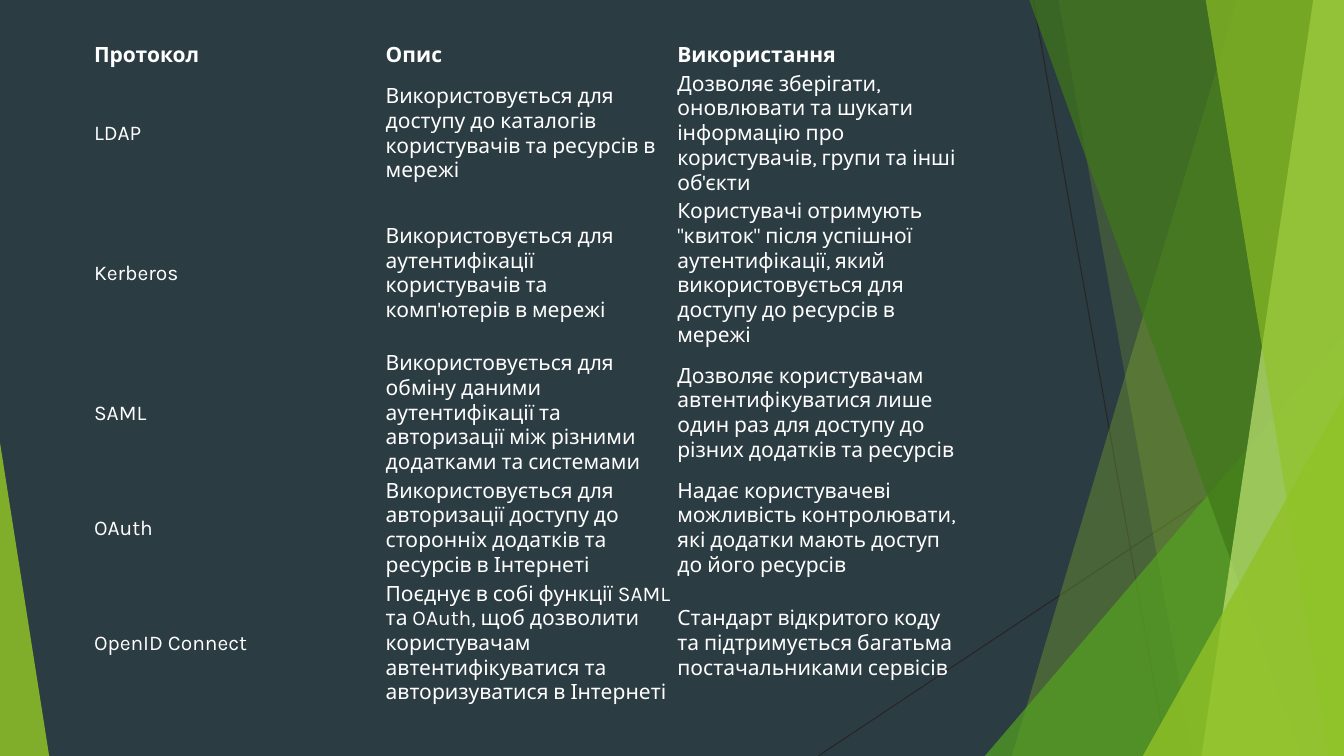
from typing import NamedTuple

from lxml import etree
from pptx import Presentation
from pptx import util as u
from pptx.dml.color import RGBColor
from pptx.enum import shapes, text
from pptx.oxml import ns

LIME = RGBColor(0x90, 0xC2, 0x26)
PALE_LIME = RGBColor(0xC0, 0xE4, 0x74)
GREEN = RGBColor(0x54, 0xA0, 0x21)
DARK_GREEN = RGBColor(0x3F, 0x78, 0x19)
SLATE = RGBColor(0x2C, 0x3C, 0x43)
CHARCOAL = RGBColor(0x26, 0x26, 0x26)
WHITE = RGBColor(0xFF, 0xFF, 0xFF)

FONT = "Karla"
PAGE_WIDTH, PAGE_HEIGHT = 33.87, 19.05
BAND_TOP = -0.03
COLUMN_WIDTH = 7.35


class Ray(NamedTuple):
    """A thin line between two points, in centimetres."""
    x1: float
    y1: float
    x2: float
    y2: float


class Band(NamedTuple):
    """A full-height band from a slanted left edge to the right page edge."""
    top_x: float
    bottom_x: float
    color: RGBColor
    opacity: int


class Wedge(NamedTuple):
    """A right-angled triangle standing on the bottom page edge."""
    left: float
    top: float
    width: float
    apex: float
    color: RGBColor
    opacity: int


class ProtocolRow(NamedTuple):
    """A table row: its least height and the three texts."""
    height: float
    protocol: str
    summary: str
    usage: str


RAYS = [
    Ray(26.04, 0, 29.41, PAGE_HEIGHT),
    Ray(PAGE_WIDTH, 10.24, 20.62, PAGE_HEIGHT),
]

FACETS = [
    Band(31.19, 25.5, LIME, 30),
    Band(26.67, 30.05, LIME, 20),
    Wedge(24.82, 8.46, 9.05, 1, GREEN, 72),
    Band(25.93, 32.79, DARK_GREEN, 70),
    Band(33.1, 30.28, PALE_LIME, 70),
    Band(30.38, 33.48, LIME, 65),
    Wedge(28.8, 9.98, 5.07, 1, LIME, 80),
    Wedge(0, 11.15, 1.24, 0, LIME, 85),
]

ROWS = [
    ProtocolRow(0.33, "Протокол", "Опис", "Використання"),
    ProtocolRow(
        2.08, "LDAP",
        "Використовується для доступу до каталогів користувачів та ресурсів в мережі",
        "Дозволяє зберігати, оновлювати та шукати інформацію про користувачів, "
        "групи та інші об'єкти"),
    ProtocolRow(
        2.59, "Kerberos",
        "Використовується для аутентифікації користувачів та комп'ютерів в мережі",
        "Користувачі отримують \"квиток\" після успішної аутентифікації, який "
        "використовується для доступу до ресурсів в мережі"),
    ProtocolRow(
        2.08, "SAML",
        "Використовується для обміну даними аутентифікації та авторизації між "
        "різними додатками та системами",
        "Дозволяє користувачам автентифікуватися лише один раз для доступу до "
        "різних додатків та ресурсів"),
    ProtocolRow(
        2.08, "OAuth",
        "Використовується для авторизації доступу до сторонніх додатків та "
        "ресурсів в Інтернеті",
        "Надає користувачеві можливість контролювати, які додатки мають доступ "
        "до його ресурсів"),
    ProtocolRow(
        2.34, "OpenID Connect",
        "Поєднує в собі функції SAML та OAuth, щоб дозволити користувачам "
        "автентифікуватися та авторизуватися в Інтернеті",
        "Стандарт відкритого коду та підтримується багатьма постачальниками сервісів"),
]


def draw_ray(page, ray: Ray) -> None:
    """Draw one thin line without a shadow."""
    line = page.shapes.add_connector(
        shapes.MSO_CONNECTOR.STRAIGHT, *(u.Cm(value) for value in ray))
    line.line.color.rgb = CHARCOAL
    line.line.width = u.Pt(0.75)
    etree.SubElement(line._element.spPr, ns.qn("a:effectLst"))


def paint(shape, color: RGBColor, opacity: int) -> None:
    """Give a shape a see-through fill, no line and no shadow."""
    shape.shadow.inherit = False
    shape.line.fill.background()
    shape.fill.solid()
    shape.fill.fore_color.rgb = color
    tint = shape._element.spPr.find(".//" + ns.qn("a:srgbClr"))
    etree.SubElement(tint, ns.qn("a:alpha"), val=str(opacity * 1000))


def draw_band(page, band: Band) -> None:
    """Draw a slanted band."""
    builder = page.shapes.build_freeform(
        u.Cm(band.top_x), u.Cm(BAND_TOP), scale=1.0)
    corners = [(PAGE_WIDTH, BAND_TOP), (PAGE_WIDTH, PAGE_HEIGHT),
               (band.bottom_x, PAGE_HEIGHT)]
    builder.add_line_segments([(u.Cm(x), u.Cm(y)) for x, y in corners], close=True)
    paint(builder.convert_to_shape(), band.color, band.opacity)


def draw_wedge(page, wedge: Wedge) -> None:
    """Draw a triangle with its apex at the left (0) or right (1)."""
    triangle = page.shapes.add_shape(
        shapes.MSO_SHAPE.ISOSCELES_TRIANGLE, u.Cm(wedge.left), u.Cm(wedge.top),
        u.Cm(wedge.width), u.Cm(PAGE_HEIGHT - wedge.top))
    triangle.adjustments[0] = wedge.apex
    paint(triangle, wedge.color, wedge.opacity)


def fill_cell(cell, wording: str, heading: bool) -> None:
    """Write one borderless, transparent table cell."""
    cell.text = wording
    cell.margin_left = cell.margin_right = u.Cm(0.08)
    cell.margin_top = cell.margin_bottom = u.Cm(0.05)
    anchors = text.MSO_ANCHOR
    cell.vertical_anchor = anchors.BOTTOM if heading else anchors.MIDDLE
    properties = cell._tc.get_or_add_tcPr()
    for side in ("a:lnL", "a:lnR", "a:lnT", "a:lnB"):
        border = etree.SubElement(properties, ns.qn(side))
        etree.SubElement(border, ns.qn("a:noFill"))
    cell.fill.background()
    font = cell.text_frame.paragraphs[0].font
    font.name, font.size, font.bold = FONT, u.Pt(15), heading
    font.color.rgb = WHITE


def draw_protocols(page, rows: list[ProtocolRow]) -> None:
    """Draw the table of protocols, headings first."""
    frame = page.shapes.add_table(
        len(rows), 3, u.Cm(2.29), u.Cm(1.04), u.Cm(3 * COLUMN_WIDTH), u.Cm(16.99))
    table = frame.table
    table.first_row = True
    table.horz_banding = False
    for column in table.columns:
        column.width = u.Cm(COLUMN_WIDTH)
    for index, row in enumerate(rows):
        table.rows[index].height = u.Cm(row.height)
        for cell, wording in zip(table.rows[index].cells, row[1:]):
            fill_cell(cell, wording, heading=index == 0)
    frame.height = u.Cm(16.99)


deck = Presentation()
deck.slide_width, deck.slide_height = u.Cm(PAGE_WIDTH), u.Cm(PAGE_HEIGHT)
page = deck.slides.add_slide(deck.slide_layouts[6])
page.background.fill.solid()
page.background.fill.fore_color.rgb = SLATE

for ray in RAYS:
    draw_ray(page, ray)
for facet in FACETS:
    draw = draw_band if isinstance(facet, Band) else draw_wedge
    draw(page, facet)
draw_protocols(page, ROWS)

deck.save("out.pptx")
